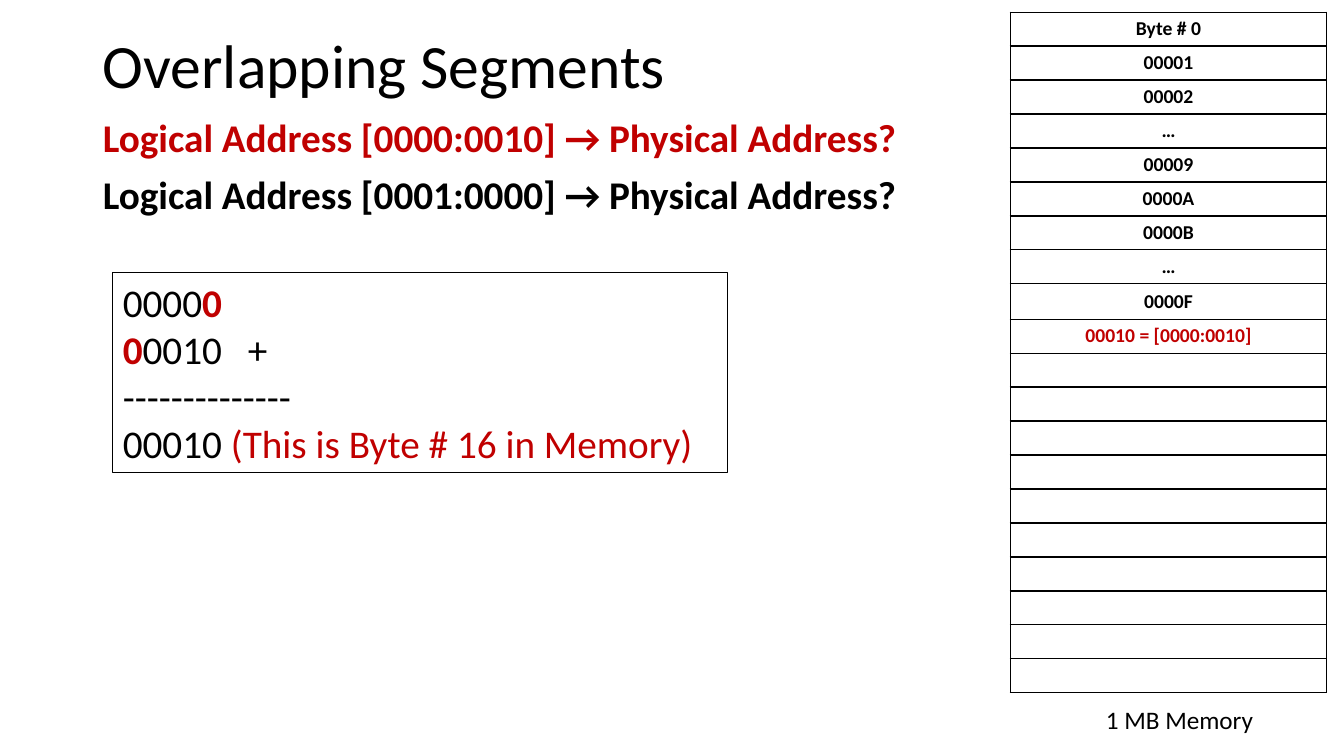
from pptx import Presentation
from pptx import util as u
from pptx.dml.color import RGBColor
from pptx.enum import shapes, text
from pptx.oxml.ns import qn
from lxml import etree

BLACK, RED = "000000", "C00000"
LEFT, MID = text.PP_ALIGN.LEFT, text.PP_ALIGN.CENTER
BYTES = ["Byte # 0", "00001", "00002", "…", "00009", "0000A", "0000B", "…",
         "0000F", "00010 = [0000:0010]"]
ROWS, TALL = 20, 8
SUM = [
    [("0000", BLACK, False), ("0", RED, True)],
    [("0", RED, True), ("0010\t+", BLACK, False)],
    [("--------------", BLACK, False)],
    [("00010 ", BLACK, False), ("(This is Byte # 16 in Memory)", RED, False)],
]


def paint(color, hue):
    color.rgb = RGBColor.from_string(hue)


def style(run, size, hue=BLACK, bold=False):
    font = run.font
    font.name, font.size, font.bold = "Calibri", u.Pt(size), bold
    paint(font.color, hue)


def place(shape, *box):
    shape.left, shape.top, shape.width, shape.height = map(u.Inches, box)


def head(shape, words):
    place(shape, 0.92, 0.23, 11.5, 0.9)
    frame = shape.text_frame
    frame.text = words
    frame.vertical_anchor = text.MSO_ANCHOR.MIDDLE
    para = frame.paragraphs[0]
    para.alignment, para.line_spacing = LEFT, 0.9
    style(para.runs[0], 44)


def body(shape, lines):
    place(shape, 0.92, 1.13, 8.75, 1.47)
    frame = shape.text_frame
    frame.text = "\n".join(words for words, hue in lines)
    for para, (words, hue) in zip(frame.paragraphs, lines):
        para.line_spacing, para.space_before = 0.9, u.Pt(10)
        props = para._p.get_or_add_pPr()
        props.set("marL", "0")
        props.set("indent", "0")
        etree.SubElement(props, qn("a:buNone"))
        style(para.runs[0], 28, hue, True)


def border(cell):
    props = cell._tc.get_or_add_tcPr()
    for side in ("a:lnL", "a:lnR", "a:lnT", "a:lnB"):
        line = etree.SubElement(props, qn(side), w=str(u.Pt(1)))
        fill = etree.SubElement(line, qn("a:solidFill"))
        etree.SubElement(fill, qn("a:srgbClr"), val=BLACK)


def memory(slide):
    high = u.Inches(6.76)
    grid = slide.shapes.add_table(ROWS, 1, u.Inches(10.02), u.Inches(0.12),
                                  u.Inches(3.14), high).table
    tall = u.Inches(0.35)
    for i, row in enumerate(grid.rows):
        row.height = tall if i == TALL else (high - tall) // (ROWS - 1)
        cell = row.cells[0]
        border(cell)
        cell.fill.background()
        cell.margin_top = cell.margin_bottom = 0
        cell.vertical_anchor = text.MSO_ANCHOR.MIDDLE
        if i < len(BYTES):
            cell.text = BYTES[i]
            para = cell.text_frame.paragraphs[0]
            para.alignment = MID
            style(para.runs[0], 14, RED if "=" in BYTES[i] else BLACK, True)


def label(slide, words, *box):
    shape = slide.shapes.add_textbox(*map(u.Inches, box))
    shape.text_frame.text = words
    style(shape.text_frame.paragraphs[0].runs[0], 18)


def sum_box(slide, lines, *box):
    shape = slide.shapes.add_shape(shapes.MSO_SHAPE.RECTANGLE,
                                   *map(u.Inches, box))
    shape.shadow.inherit = False
    shape.fill.background()
    paint(shape.line.color, BLACK)
    shape.line.width = u.Pt(0.75)
    frame = shape.text_frame
    frame.word_wrap = True
    for i, parts in enumerate(lines):
        para = frame.add_paragraph() if i else frame.paragraphs[0]
        para.alignment = LEFT
        # Tab stop that sets the plus sign apart
        if any("\t" in words for words, hue, bold in parts):
            tabs = etree.SubElement(para._p.get_or_add_pPr(), qn("a:tabLst"))
            etree.SubElement(tabs, qn("a:tab"), pos=str(u.Inches(1.24)), algn="l")
        for words, hue, bold in parts:
            run = para.add_run()
            run.text = words
            style(run, 28, hue, bold)


def main():
    deck = Presentation()
    deck.slide_width, deck.slide_height = u.Inches(13.33), u.Inches(7.5)
    slide = deck.slides.add_slide(deck.slide_layouts[1])
    # Title and questions
    head(slide.shapes.title, "Overlapping Segments")
    body(slide.placeholders[1], [
        ("Logical Address [0000:0010] → Physical Address?", RED),
        ("Logical Address [0001:0000] → Physical Address?", BLACK)])
    # Memory map
    memory(slide)
    label(slide, "1 MB Memory", 10.87, 6.94, 1.68, 0.4)
    # Address sum
    sum_box(slide, SUM, 1.12, 2.7, 6.1, 1.99)
    deck.save("out.pptx")


if __name__ == "__main__":
    main()
